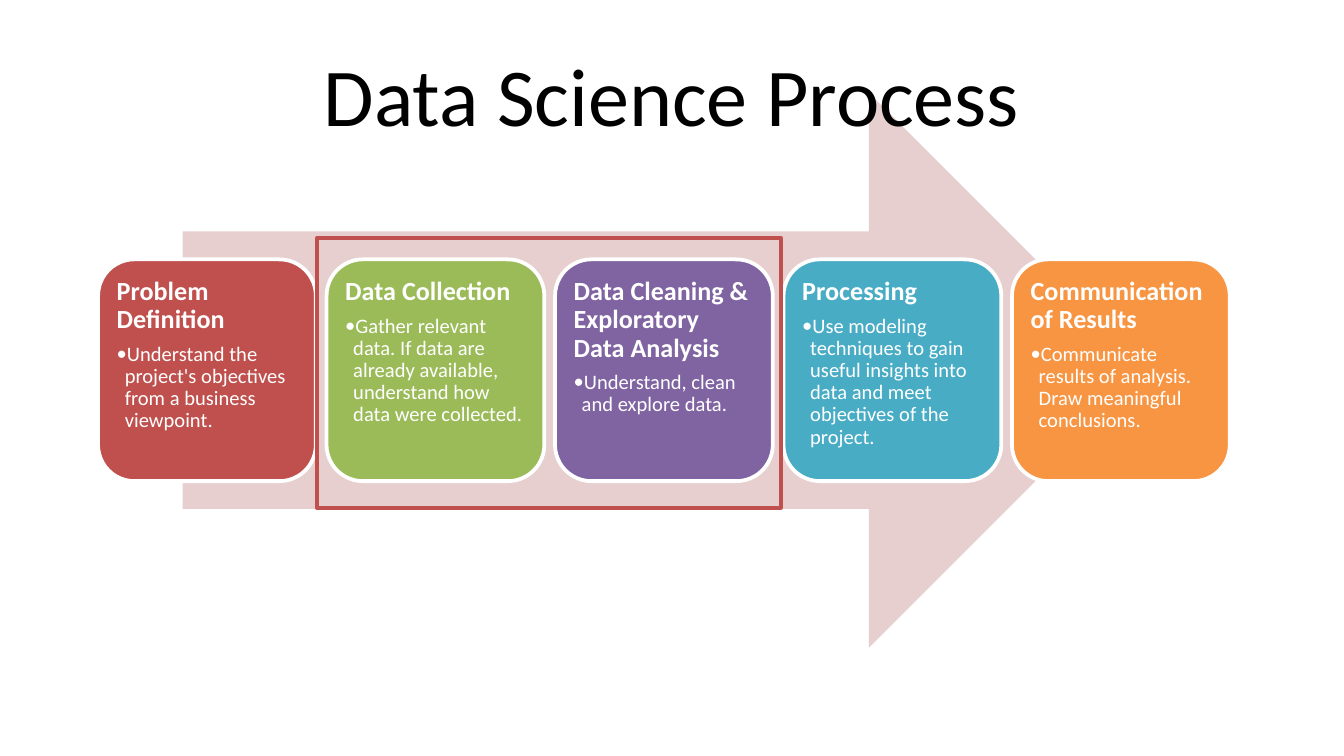
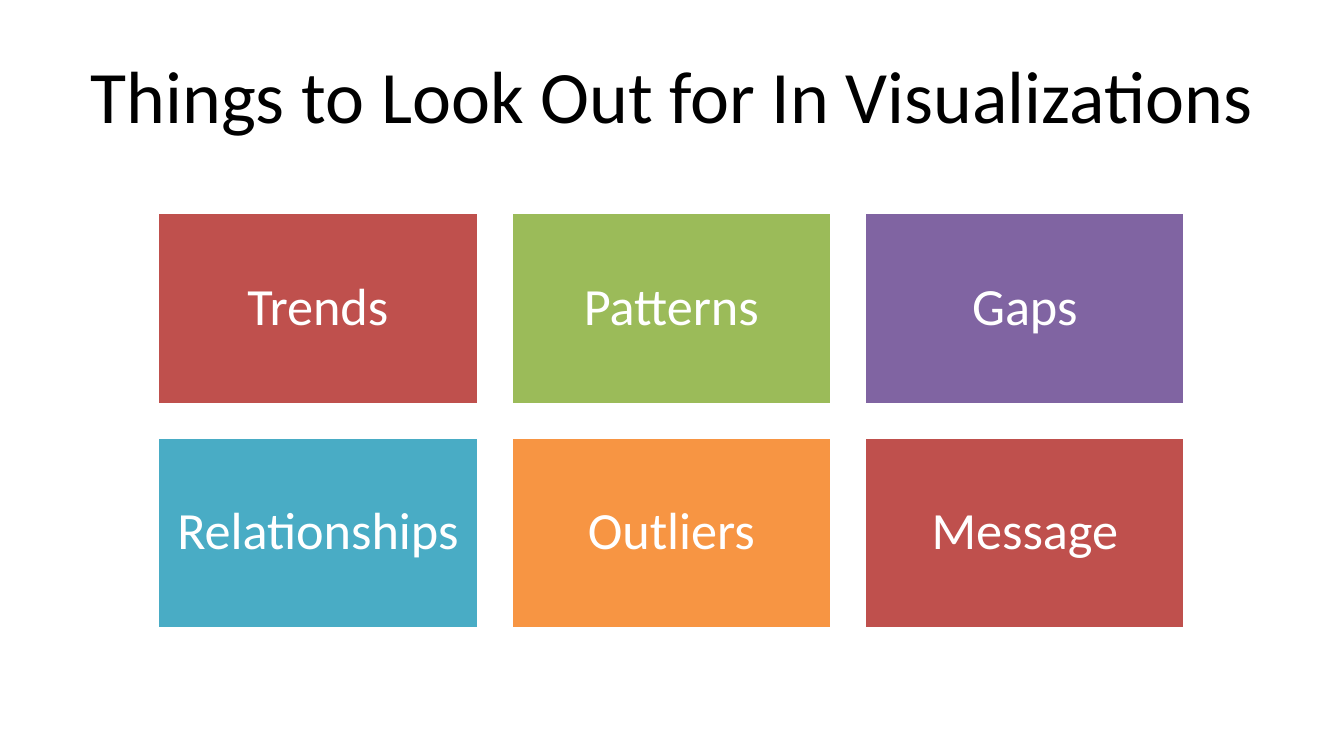
from dataclasses import dataclass
from typing import NamedTuple

from lxml.etree import SubElement
from pptx import Presentation
from pptx.dml.color import RGBColor
from pptx.enum.shapes import MSO_SHAPE
from pptx.enum.text import MSO_ANCHOR, PP_ALIGN
from pptx.oxml.ns import qn
from pptx.shapes.autoshape import Shape
from pptx.slide import Slide
from pptx.text.text import TextFrame, _Paragraph
from pptx.util import Inches, Pt

SLIDE_WIDTH = Inches(10)
SLIDE_HEIGHT = SLIDE_WIDTH * 9 // 16
FONT = "Calibri"
WHITE = "FFFFFF"
BLACK = "000000"
RED, GREEN, PURPLE, TEAL, ORANGE = ACCENTS = ("BF504D", "9BBB59", "8064A2", "49ACC5", "F79543")
PALE_RED = "E7CFCF"
HIGHLIGHT_RED = "C0504D"
LINE_SPACING = 0.9


class Box(NamedTuple):
    left: float
    top: float
    width: float
    height: float


@dataclass(frozen=True)
class Grid:
    left: float
    top: float
    column_width: float
    row_height: float
    gap: float
    columns: int

    def cell(self, index: int) -> Box:
        row, column = divmod(index, self.columns)
        return Box(
            self.left + column * (self.column_width + self.gap),
            self.top + row * (self.row_height + self.gap),
            self.column_width,
            self.row_height,
        )


@dataclass(frozen=True)
class Step:
    heading: str
    detail: str
    color: str


TITLE_BOX = Box(0.5, 0.23, 9, 0.94)
ARROW_BOX = Box(1.36, 0.69, 7.17, 4.13)
HIGHLIGHT_BOX = Box(2.36, 1.77, 3.45, 2.01)
STEP_GRID = Grid(0.73, 1.93, 1.62, 1.65, 0.08, 5)
TILE_GRID = Grid(1.17, 1.58, 2.39, 1.43, 0.24, 3)

STEPS = (
    Step("Problem Definition", "Understand the project's objectives from a business viewpoint.", RED),
    Step(
        "Data Collection",
        "Gather relevant data. If data are already available, understand how data were collected.",
        GREEN,
    ),
    Step("Data Cleaning & Exploratory Data Analysis", "Understand, clean and explore data.", PURPLE),
    Step(
        "Processing",
        "Use modeling techniques to gain useful insights into data and meet objectives of the project.",
        TEAL,
    ),
    Step(
        "Communication of Results",
        "Communicate results of analysis. Draw meaningful conclusions.",
        ORANGE,
    ),
)
TILES = ("Trends", "Patterns", "Gaps", "Relationships", "Outliers", "Message")


def rgb(color: str) -> RGBColor:
    return RGBColor.from_string(color)


def add_shape(
    slide: Slide, kind: MSO_SHAPE, box: Box, fill: str | None = None, line: str | None = None
) -> Shape:
    shape = slide.shapes.add_shape(kind, *map(Inches, box))
    shape.shadow.inherit = False
    if fill:
        shape.fill.solid()
        shape.fill.fore_color.rgb = rgb(fill)
    else:
        shape.fill.background()
    if line:
        shape.line.color.rgb = rgb(line)
        shape.line.width = Pt(2)
    else:
        shape.line.fill.background()
    return shape


def set_frame(frame: TextFrame, horizontal: float, vertical: float, anchor: MSO_ANCHOR) -> None:
    frame.word_wrap = True
    frame.vertical_anchor = anchor
    frame.margin_left = frame.margin_right = Inches(horizontal)
    frame.margin_top = frame.margin_bottom = Inches(vertical)


def write(
    paragraph: _Paragraph,
    text: str,
    size: float,
    color: str = WHITE,
    bold: bool = False,
    alignment: PP_ALIGN = PP_ALIGN.CENTER,
    spacing: float = LINE_SPACING,
) -> None:
    paragraph.text = text
    paragraph.alignment = alignment
    paragraph.line_spacing = spacing
    paragraph.font.name = FONT
    paragraph.font.size = Pt(size)
    paragraph.font.bold = bold
    paragraph.font.color.rgb = rgb(color)


def add_bullet(paragraph: _Paragraph) -> None:
    paragraph.level = 1
    properties = paragraph._p.get_or_add_pPr()
    properties.set("marL", str(Inches(0.06)))
    properties.set("indent", str(Inches(-0.08)))
    bullet_color = SubElement(properties, qn("a:buClr"))
    SubElement(bullet_color, qn("a:srgbClr"), val=WHITE)
    SubElement(properties, qn("a:buFont"), typeface=FONT)
    SubElement(properties, qn("a:buChar"), char="•")


def add_title(slide: Slide, text: str, size: float) -> None:
    frame = slide.shapes.add_textbox(*map(Inches, TITLE_BOX)).text_frame
    set_frame(frame, 0.1, 0.05, MSO_ANCHOR.MIDDLE)
    write(frame.paragraphs[0], text, size, BLACK, spacing=1.0)


def add_step(slide: Slide, step: Step, box: Box) -> None:
    frame = add_shape(slide, MSO_SHAPE.ROUNDED_RECTANGLE, box, step.color, WHITE).text_frame
    set_frame(frame, 0.06, 0.06, MSO_ANCHOR.TOP)
    write(frame.paragraphs[0], step.heading, 14, bold=True, alignment=PP_ALIGN.LEFT)
    detail = frame.add_paragraph()
    add_bullet(detail)
    detail.space_before = Pt(4.9)
    write(detail, step.detail, 11, alignment=PP_ALIGN.LEFT)


def add_tile(slide: Slide, text: str, color: str, box: Box) -> None:
    frame = add_shape(slide, MSO_SHAPE.RECTANGLE, box, color, WHITE).text_frame
    set_frame(frame, 0.12, 0.12, MSO_ANCHOR.MIDDLE)
    write(frame.paragraphs[0], text, 28)


def build_process(slide: Slide) -> None:
    add_shape(slide, MSO_SHAPE.RIGHT_ARROW, ARROW_BOX, PALE_RED)
    for index, step in enumerate(STEPS):
        add_step(slide, step, STEP_GRID.cell(index))
    add_title(slide, "Data Science Process", 44)
    add_shape(slide, MSO_SHAPE.RECTANGLE, HIGHLIGHT_BOX, line=HIGHLIGHT_RED)


def build_visualizations(slide: Slide) -> None:
    add_title(slide, "Things to Look Out for In Visualizations", 39.6)
    for index, text in enumerate(TILES):
        add_tile(slide, text, ACCENTS[index % len(ACCENTS)], TILE_GRID.cell(index))


def main() -> None:
    presentation = Presentation()
    presentation.slide_width = SLIDE_WIDTH
    presentation.slide_height = SLIDE_HEIGHT
    blank_layout = presentation.slide_layouts[6]
    for build in (build_process, build_visualizations):
        build(presentation.slides.add_slide(blank_layout))
    presentation.save("out.pptx")


if __name__ == "__main__":
    main()
